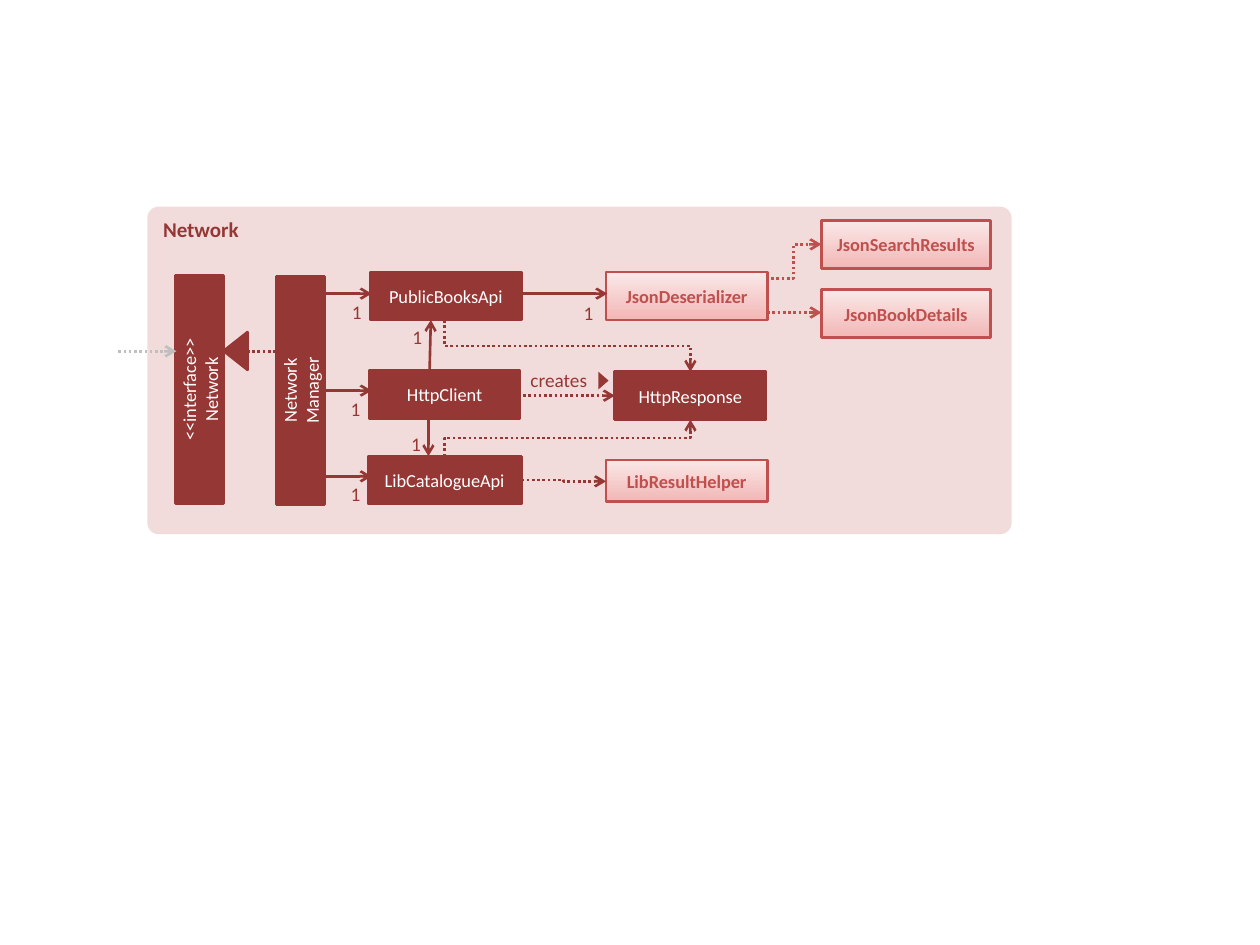
from lxml import etree
from pptx import Presentation
from pptx.dml.color import RGBColor
from pptx.enum import dml, shapes, text
from pptx.oxml import ns
from pptx.util import Pt

HUES = dict(dark="953735", mid="C0504D", pale="F2DCDB", grey="BFBFBF",
            white="FFFFFF", low="F2B7B6", high="FAE8E8")
FORMS = shapes.MSO_SHAPE
MIDDLE = text.MSO_ANCHOR.MIDDLE
CENTER, RIGHT = text.PP_ALIGN.CENTER, text.PP_ALIGN.RIGHT


def hue(name):
    return RGBColor.from_string(HUES[name])


def write(shape, words, color, size, bold=False, align=None, anchor=None, inset=0):
    frame = shape.text_frame
    looks = dict(word_wrap=True, vertical_anchor=anchor)
    looks.update({"margin_" + side: Pt(inset) for side in ("left", "right")})
    looks.update({"margin_" + side: Pt(inset / 2) for side in ("top", "bottom")})
    for key, value in looks.items():
        setattr(frame, key, value)
    frame.text = words
    for para in frame.paragraphs:
        para.alignment = align
        for key, value in dict(name="Calibri", size=Pt(size), bold=bold).items():
            setattr(para.font, key, value)
        para.font.color.rgb = hue(color)


def block(tree, form, x, y, w, h, fill="dark", edge=None, turn=0):
    shape = tree.add_shape(form, Pt(x), Pt(y), Pt(w), Pt(h))
    shape.shadow.inherit = False
    shape.rotation = turn
    if fill == "fade":
        shape.fill.gradient()
        shape.fill.gradient_angle = 90
        for stop, name in zip(shape.fill.gradient_stops, ("low", "high")):
            stop.color.rgb = hue(name)
    else:
        shape.fill.solid()
        shape.fill.fore_color.rgb = hue(fill)
    if edge:
        shape.line.color.rgb = hue(edge)
        shape.line.width = Pt(1.5)
    else:
        shape.line.fill.background()
    return shape


def label(tree, words, x, y, w):
    note = tree.add_textbox(Pt(x), Pt(y), Pt(w), Pt(18))
    write(note, words, "dark", 11, align=RIGHT)


def link(tree, x1, y1, x2, y2, color="dark", dots=False, head=True, bend=None):
    """bend: None for straight, "across" or "down" for the first leg of an elbow."""
    if bend == "down":
        # An upright elbow is a level one turned a quarter about its centre
        cx, cy, dx, dy = (x1 + x2) / 2, (y1 + y2) / 2, (x2 - x1) / 2, (y2 - y1) / 2
        x1, y1, x2, y2 = cx - dy, cy + dx, cx + dy, cy - dx
    kind = shapes.MSO_CONNECTOR.ELBOW if bend else shapes.MSO_CONNECTOR.STRAIGHT
    wire = tree.add_connector(kind, Pt(x1), Pt(y1), Pt(x2), Pt(y2))
    wire.line.color.rgb = hue(color)
    wire.line.width = Pt(1.5)
    if dots:
        wire.line.dash_style = dml.MSO_LINE.ROUND_DOT
    props = wire._element.spPr
    if bend == "down":
        props.find(ns.qn("a:xfrm")).set("rot", "5400000")
    if head:
        etree.SubElement(props.find(ns.qn("a:ln")), ns.qn("a:tailEnd"), type="arrow")
    etree.SubElement(props, ns.qn("a:effectLst"))


def draw_bars(tree, left, top):
    # Upright bars, given by their centres
    long, thick = 130.3, 27.4
    for words, x, y in (("Network\nManager", 87.5, 105.1),
                        ("<<interface>>\nNetwork", 29.9, 104.4)):
        bar = block(tree, FORMS.RECTANGLE, left + x - long / 2, top + y - thick / 2,
                    long, thick, edge="dark", turn=270)
        write(bar, words, "white", 10.5, align=CENTER, anchor=MIDDLE)
    # Interface arrowhead and its links
    block(tree, FORMS.ISOSCELES_TRIANGLE, left + 39.6, top + 75.6, 21.6, 13.7,
          edge="dark", turn=270)
    mid = top + 82.6
    link(tree, left - 16.6, mid, left + 16.6, mid, color="grey", dots=True)
    link(tree, left + 56.9, mid, left + 74.2, mid, dots=True, head=False)


def draw_boxes(tree, left, top):
    dark = ("dark", "dark", "white", False)
    light = ("fade", "mid", "mid", True)
    for words, x, y, w, h, style in (
            ("HttpClient", 126.7, 93.6, 86.4, 27.4, dark),
            ("PublicBooksApi", 127.4, 37.4, 86.4, 27.4, dark),
            ("LibCatalogueApi", 126, 142.6, 87.8, 27.4, dark),
            ("HttpResponse", 267.1, 94.3, 86.4, 27.4, dark),
            ("JsonDeserializer", 262.1, 37.4, 92.2, 27.4, light),
            ("LibResultHelper", 262.1, 144.7, 92.2, 23.8, light),
            ("JsonBookDetails", 385.2, 47.5, 96.5, 27.4, light),
            ("JsonSearchResults", 385.2, 7.9, 96.5, 27.4, light)):
        fill, edge, ink, bold = style
        box = block(tree, FORMS.RECTANGLE, left + x, top + y, w, h, fill, edge)
        write(box, words, ink, 10.5, bold, CENTER, MIDDLE)


def draw_links(tree, left, top):
    dots = dict(dots=True)
    red = dict(dots=True, color="mid")
    down = dict(dots=True, bend="down")
    for x1, y1, x2, y2, style in (
            (99.4, 49.7, 128.2, 49.7, {}),
            (99.4, 105.1, 128.2, 105.1, {}),
            (99.4, 154.1, 128.2, 154.1, {}),
            (160.6, 121, 160.6, 142.6, {}),
            (161.3, 93.6, 162, 64.8, {}),
            (213.8, 49.7, 262.8, 49.7, {}),
            (211.7, 108, 267.1, 108, dots),
            (354.2, 60.5, 385.2, 60.5, red),
            (353.5, 41, 385.2, 21.6, dict(red, bend="across")),
            (169.9, 64.8, 310.3, 94.3, down),
            (169.9, 142.6, 310.3, 121.7, down),
            (213.8, 156.2, 262.1, 157, dict(dots, bend="across"))):
        link(tree, left + x1, top + y1, left + x2, top + y2, **style)
    # Counts beside the links
    for x, y in ((112.3, 53.3), (111.6, 108.7), (111.6, 157.7),
                 (146.9, 67.7), (146.2, 128.9), (244.8, 54)):
        label(tree, "1", left + x, top + y, 10.1)
    # Caption with its pointer
    group = tree.add_group_shape().shapes
    label(group, "creates", left + 193.7, top + 92.2, 57.6)
    block(group, FORMS.ISOSCELES_TRIANGLE, left + 255.6, top + 96.5, 10.1, 5.8, turn=90)


def draw_panel(tree, left, top, wide, high):
    panel = block(tree, FORMS.ROUNDED_RECTANGLE, left, top, wide, high, "pale")
    panel.adjustments[0] = 0.035
    write(panel, "Network", "dark", 12, True, text.PP_ALIGN.LEFT,
          text.MSO_ANCHOR.TOP, inset=7.2)
    for draw in (draw_bars, draw_boxes, draw_links):
        draw(tree, left, top)


deck = Presentation()
deck.slide_width, deck.slide_height = Pt(720), Pt(540)
slide = deck.slides.add_slide(deck.slide_layouts[6])
draw_panel(slide.shapes, 84.2, 118.1, 493.9, 187.2)
deck.save("out.pptx")
